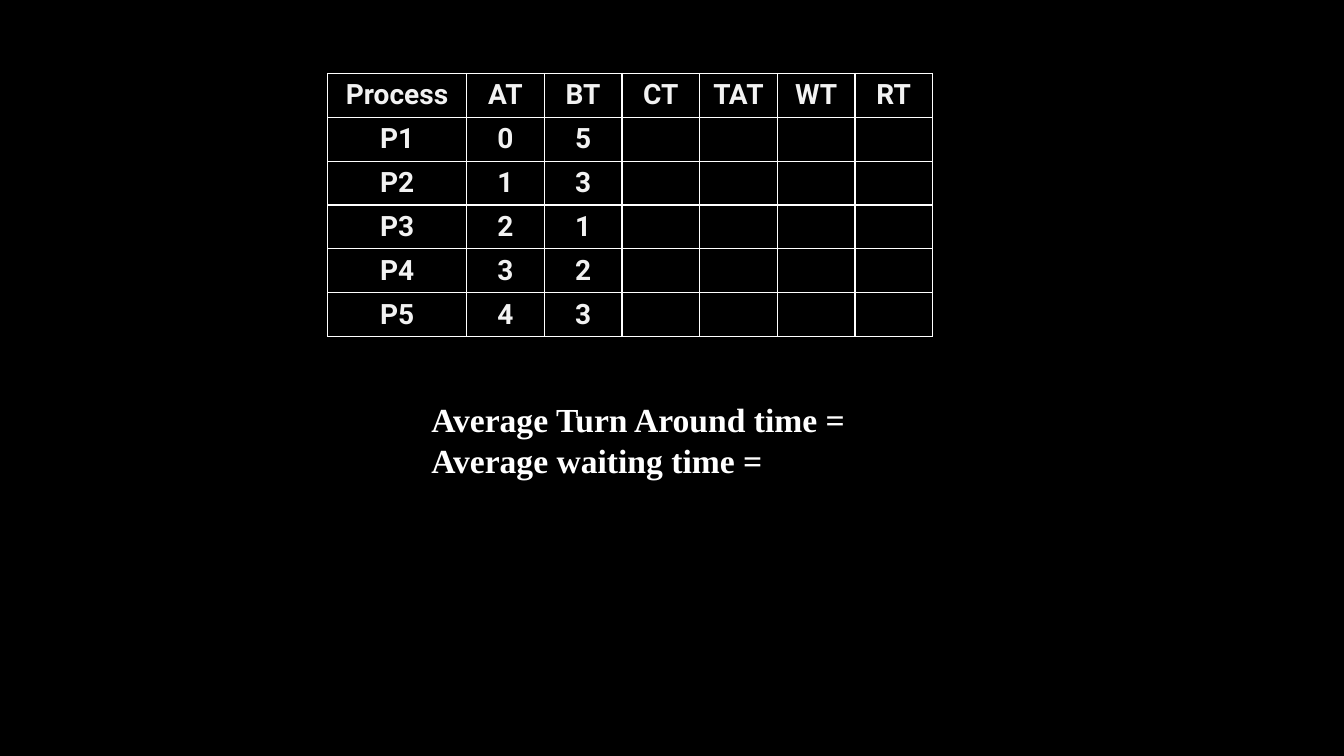
from lxml import etree
from pptx import Presentation
from pptx.dml.color import RGBColor
from pptx.enum.text import MSO_ANCHOR, PP_ALIGN
from pptx.oxml.ns import qn
from pptx.util import Pt

CENTER = PP_ALIGN.CENTER
MIDDLE = MSO_ANCHOR.MIDDLE
COLORS = {"background": "000000", "line": "FFFFFF", "cell": "F2F2F2", "summary": "FFFFFF"}

HEADERS = ["Process", "AT", "BT", "CT", "TAT", "WT", "RT"]
PROCESSES = [("P1", 0, 5), ("P2", 1, 3), ("P3", 2, 1), ("P4", 3, 2), ("P5", 4, 3)]
SUMMARY = ["Average Turn Around time =", "Average waiting time ="]
PROCESS_WIDTH, TIME_WIDTH, ROW_HEIGHT = 99.3, 55.5, 31.3


def style_paragraph(paragraph, name, size, color):
    font = paragraph.font
    font.name = name
    font.size = Pt(size)
    font.bold = True
    font.color.rgb = RGBColor.from_string(COLORS[color])


def add_borders(cell):
    properties = cell._tc.get_or_add_tcPr()
    for side in ("lnL", "lnR", "lnT", "lnB"):
        line = etree.SubElement(properties, qn(f"a:{side}"), w=str(Pt(1)))
        fill = etree.SubElement(line, qn("a:solidFill"))
        etree.SubElement(fill, qn("a:srgbClr"), val=COLORS["line"])


deck = Presentation()
deck.slide_width, deck.slide_height = Pt(960), Pt(540)
page = deck.slides.add_slide(deck.slide_layouts[6])
page.background.fill.solid()
page.background.fill.fore_color.rgb = RGBColor.from_string(COLORS["background"])

# Average times
box = page.shapes.add_textbox(Pt(301), Pt(281.5), Pt(542), Pt(65.5))
frame = box.text_frame
frame.word_wrap = True
frame.text = "\n".join(SUMMARY)
for paragraph in frame.paragraphs:
    style_paragraph(paragraph, "Times New Roman", 24, "summary")

# Scheduling table
rows = [HEADERS, *PROCESSES]
widths = [PROCESS_WIDTH] + [TIME_WIDTH] * (len(HEADERS) - 1)
table = page.shapes.add_table(
    len(rows), len(HEADERS), Pt(234), Pt(52.5), Pt(sum(widths)), Pt(ROW_HEIGHT * len(rows))
).table
for column, width in zip(table.columns, widths):
    column.width = Pt(width)
for row_index, values in enumerate(rows):
    table.rows[row_index].height = Pt(ROW_HEIGHT)
    for column_index in range(len(HEADERS)):
        cell = table.cell(row_index, column_index)
        add_borders(cell)
        cell.fill.background()
        cell.vertical_anchor = MIDDLE
        if column_index < len(values):
            cell.text = str(values[column_index])
            paragraph = cell.text_frame.paragraphs[0]
            paragraph.alignment = CENTER
            style_paragraph(paragraph, "Roboto", 20, "cell")

deck.save("out.pptx")
